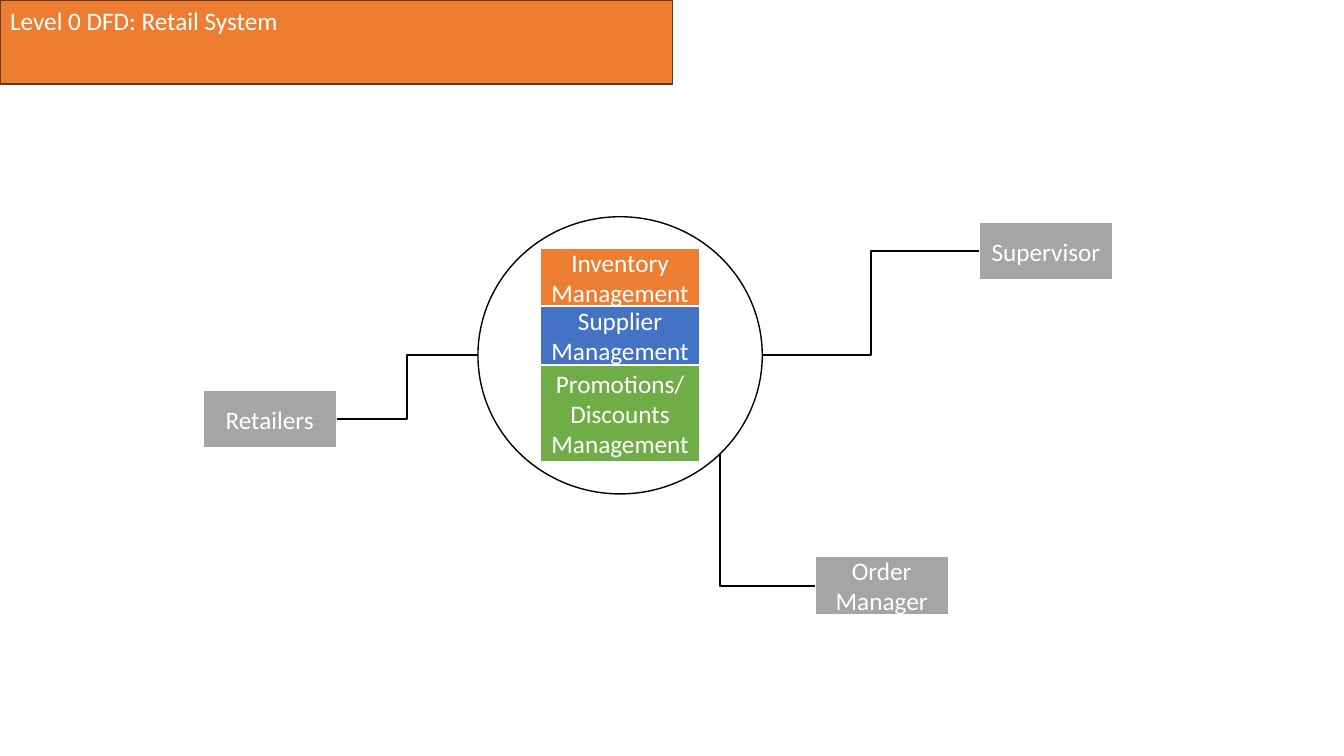
from pptx import Presentation
from pptx.dml.color import RGBColor
from pptx.enum.shapes import MSO_CONNECTOR, MSO_SHAPE
from pptx.enum.text import MSO_ANCHOR, MSO_AUTO_SIZE, PP_ALIGN
from pptx.oxml.ns import qn
from pptx.util import Inches, Pt
from lxml import etree

ELBOW = MSO_CONNECTOR.ELBOW
RECT, ROUND = MSO_SHAPE.RECTANGLE, MSO_SHAPE.FLOWCHART_CONNECTOR
TOP, MIDDLE = MSO_ANCHOR.TOP, MSO_ANCHOR.MIDDLE
LEFT, CENTER = PP_ALIGN.LEFT, PP_ALIGN.CENTER
GROW = MSO_AUTO_SIZE.SHAPE_TO_FIT_TEXT

WHITE = RGBColor(0xFF, 0xFF, 0xFF)
BLACK = RGBColor(0x00, 0x00, 0x00)
ORANGE = RGBColor(0xED, 0x7D, 0x31)
BROWN = RGBColor(0x68, 0x37, 0x15)
BLUE = RGBColor(0x44, 0x72, 0xC4)
GREEN = RGBColor(0x70, 0xAD, 0x47)
GRAY = RGBColor(0xA5, 0xA5, 0xA5)


class Chart:
    """Holds the text style and the current slide."""
    font, size = "Calibri", Pt(18)

    def __init__(self, slide):
        self.slide = slide

    def paint(self, shape, fill, line, width):
        shape.fill.solid()
        shape.fill.fore_color.rgb = fill
        shape.line.color.rgb = line
        shape.line.width = Pt(width)

    def label(self, shape, text, align, anchor):
        frame = shape.text_frame
        frame.text = text
        frame.word_wrap = True
        frame.vertical_anchor = anchor
        para = frame.paragraphs[0]
        para.alignment = align
        para.font.name, para.font.size = self.font, self.size
        para.font.color.rgb = WHITE

    def title(self, text, width, height):
        bar = self.slide.shapes.title
        bar.left = bar.top = 0
        bar.width, bar.height = Inches(width), Inches(height)
        self.paint(bar, ORANGE, BROWN, 1)
        self.label(bar, text, LEFT, TOP)
        bar.text_frame.auto_size = GROW

    def shape(self, kind, x, y, w, h, fill, line, width):
        shape = self.slide.shapes.add_shape(
            kind, Inches(x), Inches(y), Inches(w), Inches(h))
        shape.shadow.inherit = False
        self.paint(shape, fill, line, width)
        return shape

    def box(self, text, x, y, w, h, fill):
        shape = self.shape(RECT, x, y, w, h, fill, WHITE, 1.5)
        self.label(shape, text, CENTER, MIDDLE)

    def link(self, start, end, preset):
        line = self.slide.shapes.add_connector(
            ELBOW, *(Inches(v) for v in (*start, *end)))
        line.line.color.rgb = BLACK
        line.line.width = Pt(1.5)
        props = line._element.spPr
        props.find(qn("a:prstGeom")).set("prst", preset)
        etree.SubElement(props, qn("a:effectLst"))


def main():
    deck = Presentation()
    deck.slide_width, deck.slide_height = Inches(13.33), Inches(7.5)
    chart = Chart(deck.slides.add_slide(deck.slide_layouts[5]))
    chart.title("Level 0 DFD: Retail System", 6.67, 0.4)

    # System circle
    x, y, w, h = 4.74, 2.15, 2.82, 2.75
    mid = y + h / 2
    chart.shape(ROUND, x, y, w, h, WHITE, BLACK, 1)

    # Stacked processes
    top = 2.46
    for text, high, fill in (
            ("Inventory Management", 0.58, ORANGE),
            ("Supplier Management", 0.58, BLUE),
            ("Promotions/Discounts Management", 0.96, GREEN)):
        chart.box(text, 5.36, top, 1.58, high, fill)
        top += high

    # Outside parties, each linked from its side to the circle
    wide, high = 1.33, 0.58
    for text, left, top, side, end, preset in (
            ("Retailers", 2.01, 3.87, wide, (x, mid), "bentConnector3"),
            ("Supervisor", 9.71, 2.2, 0, (x + w, mid), "bentConnector3"),
            ("Order Manager", 8.08, 5.52, 0, (7.14, 4.5), "bentConnector2")):
        chart.box(text, left, top, wide, high, GRAY)
        chart.link((left + side, top + high / 2), end, preset)

    deck.save("out.pptx")


if __name__ == "__main__":
    main()
